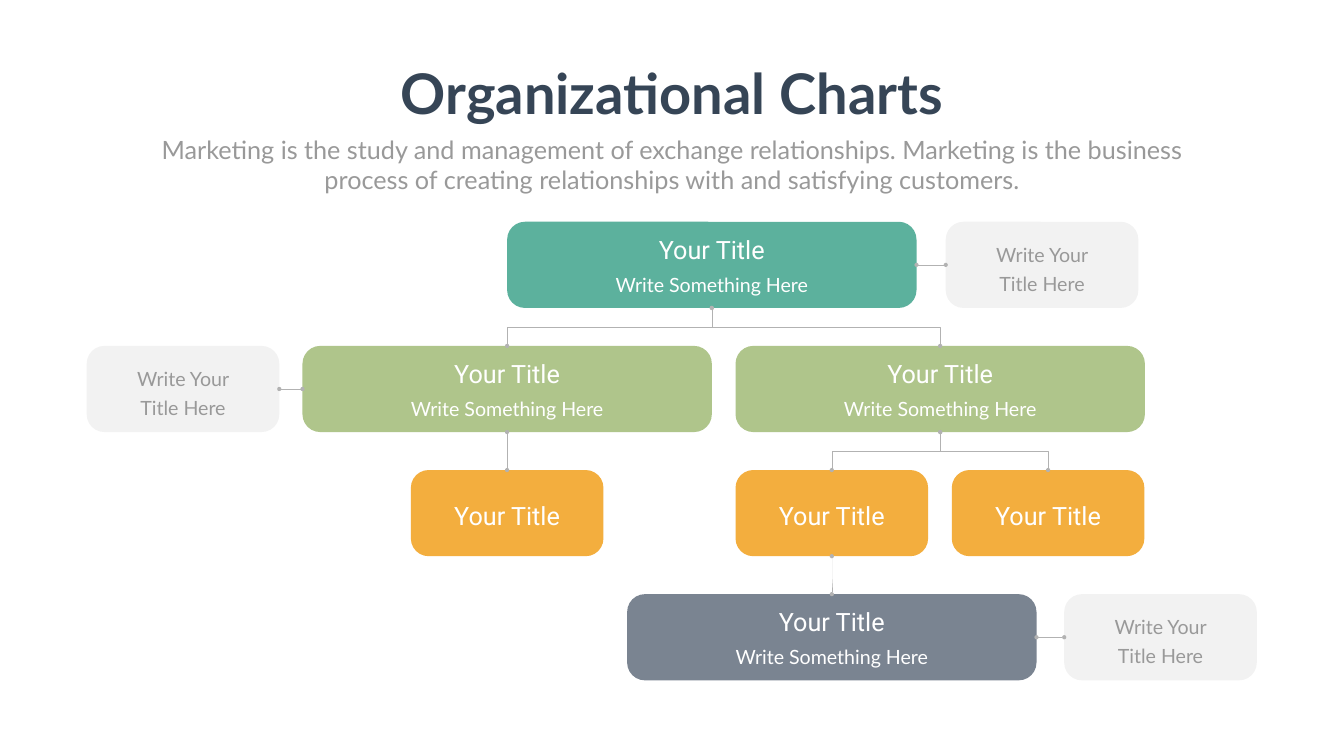
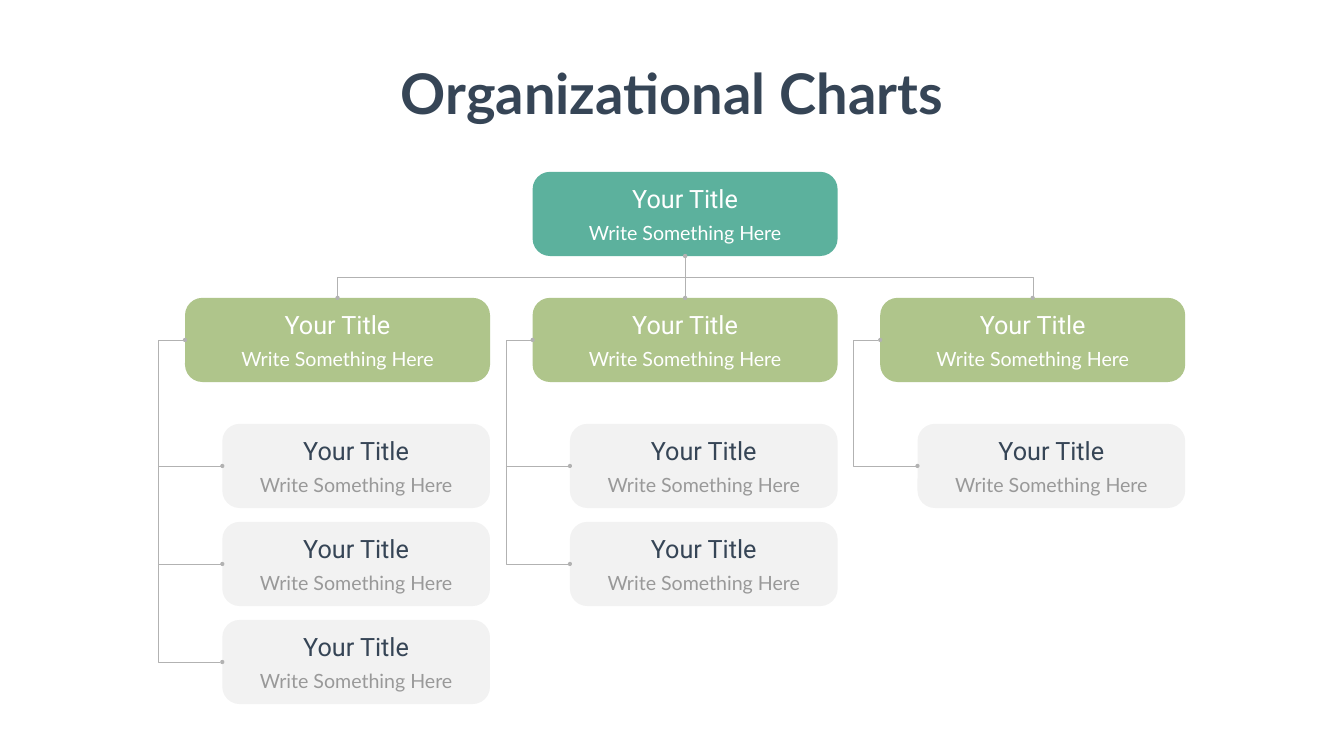
from lxml.etree import SubElement
from pptx import Presentation
from pptx.dml.color import RGBColor
from pptx.enum.shapes import MSO_CONNECTOR, MSO_SHAPE
from pptx.enum.text import MSO_ANCHOR, MSO_AUTO_SIZE, PP_ALIGN
from pptx.oxml.ns import qn
from pptx.util import Inches, Pt

# Shared colours and text formats
hue = RGBColor.from_string
TEAL, GREEN, AMBER, SLATE, MIST = "5CB19D", "AFC58B", "F3AE3E", "7A8491", "808080"
WHITE, NAVY, GRAY, WIRE = "FFFFFF", "364556", "999999", "B2B2B2"
FONTS = {
    "title": {"name": "Lato", "size": Pt(80), "bold": True},
    "lead": {"name": "Lato", "size": Pt(36), "bold": False},
    "head": {"name": "Roboto", "size": Pt(36)},
    "sub": {"name": "Lato", "size": Pt(28)},
}
HEAD, SUB, NOTE = "Your Title", "Write Something Here", "Write Your Title Here"

deck = Presentation()
deck.slide_width, deck.slide_height = Inches(26.66), Inches(15)


def write(box, text, kind, color, place, pad=0.05):
    """Place a text shape and fill it with one centred paragraph."""
    box.left, box.top, box.width, box.height = map(Inches, place)
    frame = box.text_frame
    frame.text = text
    form = {"word_wrap": kind != "title", "auto_size": MSO_AUTO_SIZE.NONE,
            "vertical_anchor": MSO_ANCHOR.TOP,
            "margin_top": Inches(pad), "margin_bottom": Inches(pad)}
    for key, val in form.items():
        setattr(frame, key, val)
    par = frame.paragraphs[0]
    if kind == "lead":
        props = par._p.get_or_add_pPr()
        props.set("marL", "0")
        props.set("indent", "0")
        SubElement(props, qn("a:buNone"))
    par.alignment = PP_ALIGN.CENTER
    par.space_before = Pt(0)
    par.line_spacing = Pt(40.8) if kind == "sub" else 1.0
    for key, val in FONTS[kind].items():
        setattr(par.font, key, val)
    par.font.color.rgb = hue(color)


def wire(slide, kind, a, b):
    """Join cards a and b, each given as left, top, width, height."""
    bent = MSO_CONNECTOR.ELBOW if kind in ("drop", "hang") else MSO_CONNECTOR.STRAIGHT
    mid_a, mid_b = a[1] + a[3] / 2, b[1] + b[3] / 2
    if kind in ("drop", "stem"):
        ends = a[0] + a[2] / 2, a[1] + a[3], b[0] + b[2] / 2, b[1]
    elif kind == "link":
        ends = a[0] + a[2], mid_a, b[0], mid_b
    elif kind == "hang":
        ends = a[0], mid_a, b[0], mid_b
    else:
        ends = a[0] - 0.53, mid_b, b[0], mid_b
    right = ends[2] > ends[0]
    if kind == "drop":
        # A drop is a horizontal elbow turned by a quarter
        x, y = (ends[0] + ends[2]) / 2, (ends[1] + ends[3]) / 2
        w, h = (ends[3] - ends[1]) / 2, abs(ends[2] - ends[0]) / 2
        ends = (x + w, y - h, x - w, y + h) if right else (x - w, y - h, x + w, y + h)
    line = slide.shapes.add_connector(bent, *map(Inches, ends))
    line.line.color.rgb = hue(WIRE)
    line.line.width = Pt(0.5)
    props = line._element.spPr
    if kind == "drop":
        props.find(qn("a:xfrm")).set("rot", str((270 if right else 90) * 60000))
    if kind == "hang":
        guides = props.find(qn("a:prstGeom")).get_or_add_avLst()
        SubElement(guides, qn("a:gd"), name="adj1", fmla="val -71400")
    stroke = line.line._get_or_add_ln()
    if kind not in ("stem", "spur"):
        SubElement(stroke, qn("a:headEnd"), type="oval")
    SubElement(stroke, qn("a:tailEnd"), type="oval")
    SubElement(props, qn("a:effectLst"))


# Slide 1 grid: wide and narrow cards on four even rows
wide, slim, tall = 8.12, 3.82, 1.71
rows = [4.4 + 2.463 * n for n in range(4)]
tree = {
    "top": (10.06, rows[0], wide, tall, TEAL),
    "left": (6, rows[1], wide, tall, GREEN),
    "right": (14.59, rows[1], wide, tall, GREEN),
    "leaf1": (8.15, rows[2], slim, tall, AMBER),
    "leaf2": (14.59, rows[2], slim, tall, AMBER),
    "leaf3": (18.88, rows[2], slim, tall, AMBER),
    "base": (12.44, rows[3], wide, tall, SLATE),
    "note1": (18.76, rows[0], slim, tall, MIST),
    "note2": (1.72, rows[1], slim, tall, MIST),
    "note3": (21.11, rows[3], slim, tall, MIST),
}
joins = [
    ("drop", "top", "left"), ("drop", "top", "right"),
    ("drop", "left", "leaf1"), ("drop", "right", "leaf2"),
    ("drop", "right", "leaf3"), ("drop", "leaf2", "base"),
    ("link", "top", "note1"), ("link", "note2", "left"), ("link", "base", "note3"),
]

# Slide 2 grid: three columns, with indented leaves under each branch
span, high, inset = 6.05, 1.67, 0.74
cols = [3.67 + 6.895 * n for n in range(3)]
team = {"top": (cols[1], 3.41, span, high, TEAL)}
ties = []
for n, (x, count) in enumerate(zip(cols, (3, 2, 1))):
    team[f"arm{n}"] = (x, 5.91, span, high, GREEN)
    ties.append(("stem" if n == 1 else "drop", "top", f"arm{n}"))
    for k in range(count):
        team[f"leaf{n}{k}"] = (x + inset, 8.41 + 1.945 * k, span - inset, high, MIST)
        ties.append(("hang" if k == count - 1 else "spur", f"arm{n}", f"leaf{n}{k}"))

# Build both slides
for layout, cards, wires in ((1, tree, joins), (5, team, ties)):
    slide = deck.slides.add_slide(deck.slide_layouts[layout])
    write(slide.shapes.title, "Organizational Charts", "title", NAVY,
          (7.7, 1.12, 11.26, 1.45))
    if layout == 1:
        write(slide.placeholders[1],
              "Marketing is the study and management of exchange relationships. "
              "Marketing is the business process of creating relationships with "
              "and satisfying customers.",
              "lead", GRAY, (2.92, 2.61, 20.82, 1.31))

    # Cards
    for x, y, w, h, color in cards.values():
        card = slide.shapes.add_shape(MSO_SHAPE.ROUNDED_RECTANGLE,
                                      *map(Inches, (x, y, w, h)))
        card.adjustments[0] = 0.206
        card.shadow.inherit = False
        card.line.fill.background()
        card.fill.solid()
        card.fill.fore_color.rgb = hue(color)
        if color == MIST:
            tint = card._element.spPr.find(qn("a:solidFill"))[0]
            SubElement(tint, qn("a:alpha"), val="10000")

    # Connectors
    for kind, a, b in wires:
        wire(slide, kind, cards[a], cards[b])

    # Labels
    for name, (x, y, w, h, color) in cards.items():
        mid = x + w / 2
        pale = color == MIST
        rise = 0.22 if layout == 1 else 0.19
        if name.startswith("note"):
            parts = [(NOTE, "sub", GRAY, 2.46, 0.29, 1.19)]
        elif color == AMBER:
            parts = [(HEAD, "head", WHITE, 4.13, 0.58, 0.66)]
        else:
            parts = [(SUB, "sub", GRAY if pale else WHITE, 4.94, rise + 0.66, 0.62),
                     (HEAD, "head", NAVY if pale else WHITE, 4.13, rise, 0.66)]
        for text, kind, ink, width, drop, height in parts:
            box = slide.shapes.add_textbox(0, 0, 0, 0)
            write(box, text, kind, ink, (mid - width / 2, y + drop, width, height), 0.03)

deck.save("out.pptx")
